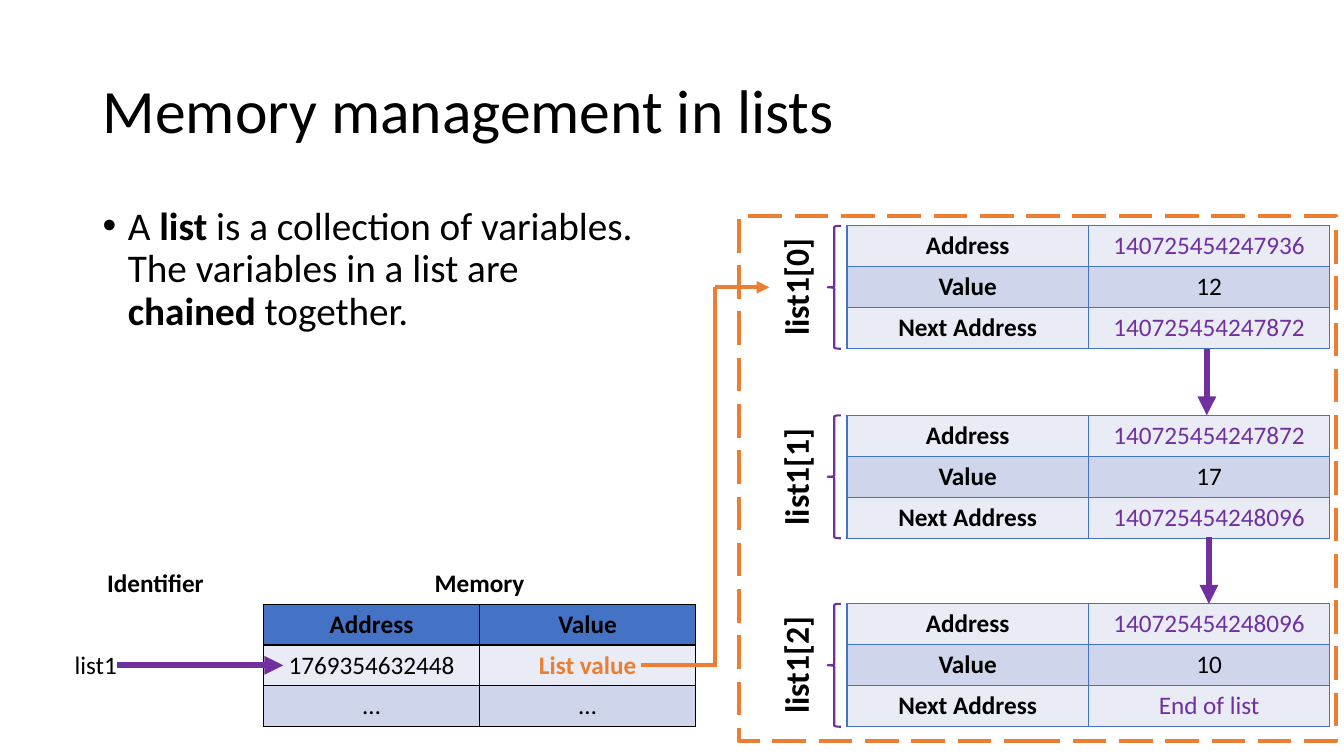
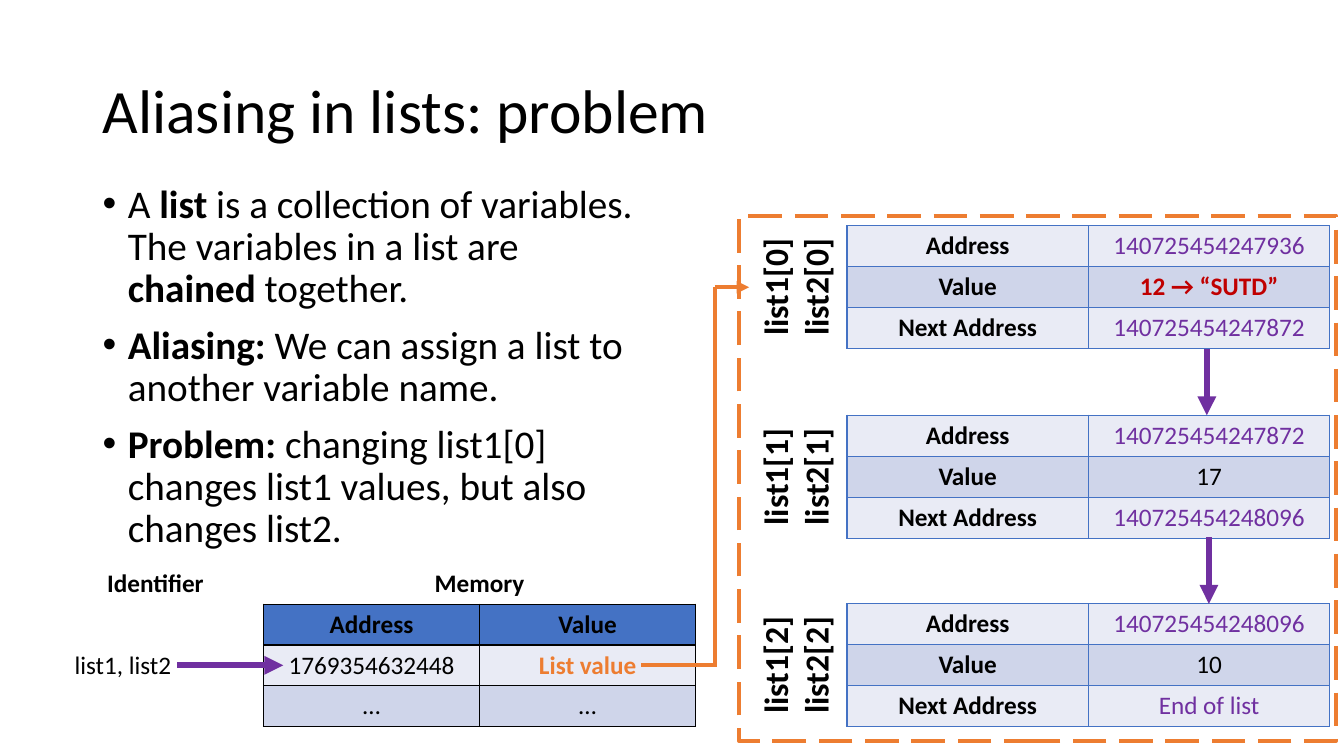
from pptx import Presentation
from pptx.dml.color import RGBColor
from pptx.enum import dml, shapes, text
from pptx.oxml.ns import qn
from pptx.util import Inches, Pt
from lxml import etree

BLACK = RGBColor(0, 0, 0)
WHITE = RGBColor(0xFF, 0xFF, 0xFF)
BLUE = RGBColor(0x44, 0x72, 0xC4)
LIGHT = RGBColor(0xE9, 0xEB, 0xF5)
MID = RGBColor(0xCF, 0xD5, 0xEA)
PURPLE = RGBColor(0x70, 0x30, 0xA0)
ORANGE = RGBColor(0xED, 0x7D, 0x31)
RED = RGBColor(0xC0, 0, 0)
FONT = "Calibri"
MIDDLE = text.MSO_ANCHOR.MIDDLE
CENTER = text.PP_ALIGN.CENTER

TOPS = (2.24, 4.12, 5.99)
TALL = 1.22
ADDRS = ("140725454247936", "140725454247872", "140725454248096", "End of list")

INTRO = [("A ", False), ("list", True), (" is a collection of variables.", False)]
CHAIN = [("The variables in a list are ", False), ("chained", True), (" together.", False)]
PAGES = [
    dict(title="Memory management in lists", top=2, names=["list1"],
         body=[INTRO + [("\n", False)] + CHAIN],
         first=("12", False, BLACK), start=1.16, tip=7.63, brace=True),
    dict(title="Aliasing in lists: problem", top=1.78, names=["list1", "list2"],
         body=[INTRO + [(" ", False)] + CHAIN,
               [("Aliasing: ", True),
                ("We can assign a list to another variable name.", False)],
               [("Problem: ", True),
                ("changing list1[0] changes list1 values, but also changes list2.", False)]],
         first=("12 → “SUTD”", True, RED), start=1.76, tip=7.43, brace=False),
]


def write(par, size, runs):
    for words, bold, *ink in runs:
        if words == "\n":
            par.add_line_break()
            continue
        run = par.add_run()
        run.text = words
        run.font.name = FONT
        run.font.size = Pt(size)
        run.font.bold = bold
        run.font.color.rgb = ink[0] if ink else BLACK


def wire(slide, x1, y1, x2, y2, ink, width, arrow):
    line = slide.shapes.add_connector(
        shapes.MSO_CONNECTOR.STRAIGHT, Inches(x1), Inches(y1), Inches(x2), Inches(y2))
    line.line.color.rgb = ink
    line.line.width = Pt(width)
    if arrow:
        etree.SubElement(line.line._get_or_add_ln(), qn("a:tailEnd"), type="triangle")
    etree.SubElement(line._element.spPr, qn("a:effectLst"))


prs = Presentation()
prs.slide_width = Inches(13.33)
prs.slide_height = Inches(7.5)

for page in PAGES:
    slide = prs.slides.add_slide(prs.slide_layouts[6])
    names = page["names"]

    # Title
    frame = slide.shapes.add_textbox(
        Inches(0.92), Inches(0.4), Inches(11.5), Inches(1.45)).text_frame
    frame.word_wrap = True
    frame.vertical_anchor = MIDDLE
    frame.paragraphs[0].line_spacing = 0.9
    write(frame.paragraphs[0], 44, [(page["title"], False)])

    # Bullets
    frame = slide.shapes.add_textbox(
        Inches(0.92), Inches(page["top"]), Inches(5.67), Inches(6.76 - page["top"])).text_frame
    frame.word_wrap = True
    for i, runs in enumerate(page["body"]):
        par = frame.add_paragraph() if i else frame.paragraphs[0]
        props = par._p.get_or_add_pPr()
        props.set("marL", str(Inches(0.25)))
        props.set("indent", str(Inches(-0.25)))
        etree.SubElement(props, qn("a:buFont"), typeface="Arial")
        etree.SubElement(props, qn("a:buChar"), char="•")
        par.line_spacing = 0.9
        if i:
            par.space_before = Pt(10)
        write(par, 28, runs)

    # Tables: three list nodes, then the memory table
    values = [page["first"], ("17", False), ("10", False)]
    grids = []
    for i, top in enumerate(TOPS):
        rows = [[("Address", True), (ADDRS[i], False, PURPLE)],
                [("Value", True), values[i]],
                [("Next Address", True), (ADDRS[i + 1], False, PURPLE)]]
        grids.append((8.4, top, 4.79, TALL, BLUE, (LIGHT, MID, LIGHT), rows))
    blank = ("", False)
    grids.append((0.47, 5.59, 6.43, 1.62, BLACK, (WHITE, BLUE, LIGHT, MID), [
        [("Identifier", True), ("Memory", True), blank],
        [blank, ("Address", True), ("Value", True)],
        [(", ".join(names), False), ("1769354632448", False), ("List value", True, ORANGE)],
        [blank, ("…", False), ("…", False)]]))

    for left, top, wide, tall, edge, fills, rows in grids:
        memory = edge == BLACK
        table = slide.shapes.add_table(
            len(rows), len(rows[0]), Inches(left), Inches(top), Inches(wide), Inches(tall)).table
        table.first_row = False
        table.horz_banding = False
        if memory:
            table.cell(0, 1).merge(table.cell(0, 2))
        for r, row in enumerate(rows):
            for c, item in enumerate(row):
                cell = table.cell(r, c)
                sides = "LRTB"
                if memory and r == 0:
                    sides = "B" if c else ""
                elif memory and c == 0:
                    sides = "R"
                props = cell._tc.get_or_add_tcPr()
                for side in sides:
                    rule = etree.SubElement(props, qn("a:ln" + side), w=str(Pt(1)))
                    solid = etree.SubElement(rule, qn("a:solidFill"))
                    etree.SubElement(solid, qn("a:srgbClr"), val=str(edge))
                cell.fill.solid()
                cell.fill.fore_color.rgb = WHITE if memory and c == 0 else fills[r]
                par = cell.text_frame.paragraphs[0]
                if memory and (r, c) == (2, 0):
                    cell.margin_left = Inches(0.27)
                    cell.margin_right = 0
                else:
                    par.alignment = CENTER
                if item[0]:
                    write(par, 18, [item])

    # Node labels and braces
    deep = 0.5 if len(names) == 1 else 0.91
    for i, top in enumerate(TOPS):
        label = slide.shapes.add_textbox(
            Inches(7.28), Inches(top + (TALL - deep) / 2), Inches(TALL), Inches(deep))
        label.rotation = 270
        frame = label.text_frame
        frame.word_wrap = True
        for n, name in enumerate(names):
            par = frame.add_paragraph() if n else frame.paragraphs[0]
            par.alignment = CENTER
            write(par, 24, [(f"{name}[{i}]", True)])
        if page["brace"]:
            brace = slide.shapes.add_shape(
                shapes.MSO_SHAPE.LEFT_BRACE, Inches(8.21), Inches(top), Inches(0.13), Inches(TALL))
            brace.shadow.inherit = False
            brace.fill.background()
            brace.line.color.rgb = PURPLE
            brace.line.width = Pt(1.5)

    # Dashed frame around the list
    box = slide.shapes.add_shape(
        shapes.MSO_SHAPE.RECTANGLE, Inches(7.33), Inches(2.14), Inches(5.92), Inches(5.21))
    box.shadow.inherit = False
    box.fill.background()
    box.line.color.rgb = ORANGE
    box.line.width = Pt(3)
    box.line.dash_style = dml.MSO_LINE.LONG_DASH

    # Links between nodes, and from identifier to list
    wire(slide, 11.97, 3.46, 11.97, 4.12, PURPLE, 4.5, True)
    wire(slide, 11.99, 5.33, 11.99, 5.99, PURPLE, 4.5, True)
    wire(slide, page["start"], 6.6, 2.81, 6.6, PURPLE, 4.5, True)
    wire(slide, 7.09, 2.85, page["tip"], 2.85, ORANGE, 3, True)
    wire(slide, 7.09, 2.85, 7.09, 6.6, ORANGE, 3, False)
    wire(slide, 6.36, 6.6, 7.11, 6.6, ORANGE, 3, False)

prs.save("out.pptx")
